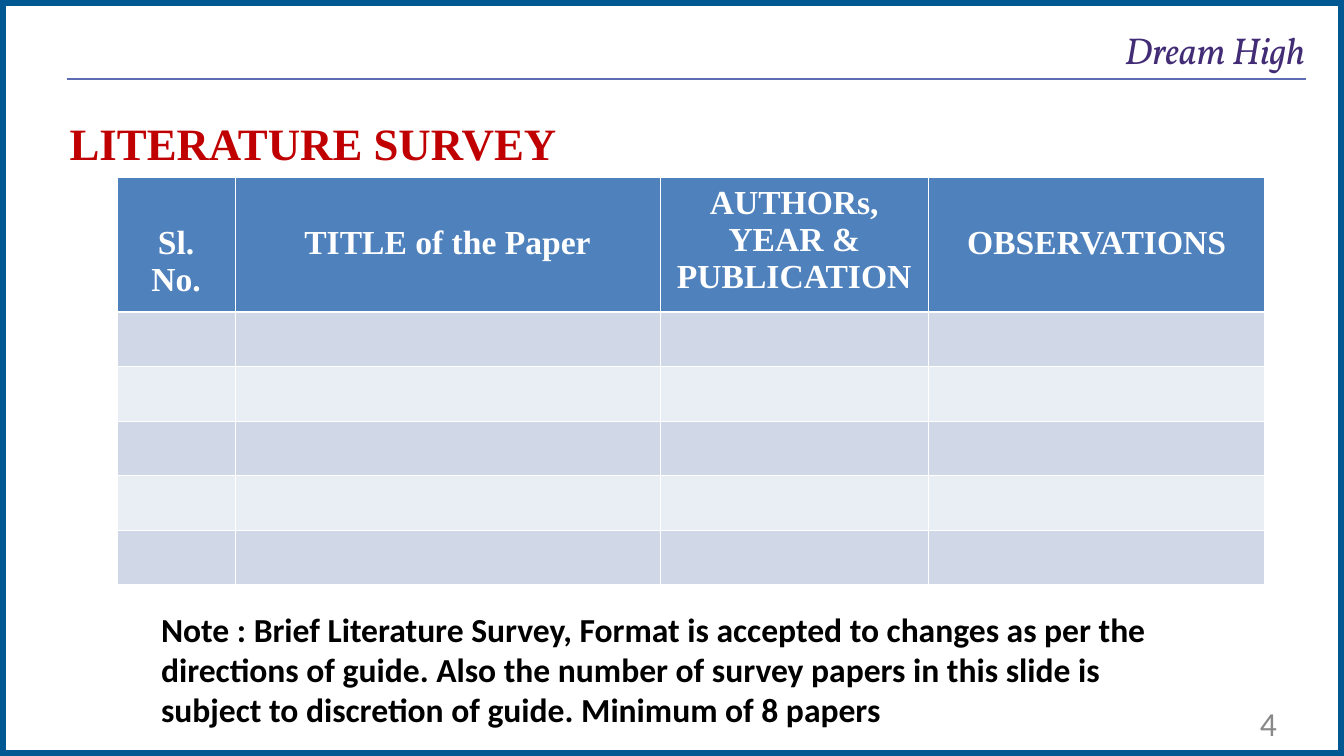
import pptx
import pptx.util
import pptx.dml.color
import pptx.enum.shapes
import pptx.enum.text
import pptx.oxml
import pptx.oxml.ns
import lxml.etree

Inches = pptx.util.Inches
Pt = pptx.util.Pt
ALIGN = pptx.enum.text.PP_ALIGN
ANCHOR = pptx.enum.text.MSO_ANCHOR
SLIDE_WIDTH = 10
SLIDE_HEIGHT = SLIDE_WIDTH * 9 / 16
COLUMN_WIDTHS = [0.88, 3.16, 2, 2.5]
HEADINGS = ["Sl. No.", "TITLE of the Paper", "AUTHORs,\nYEAR & PUBLICATION", "OBSERVATIONS"]
HEADER_HEIGHT = 0.99
PAPER_ROWS = 5
BAND_FILLS = ["D0D8E8", "E9EDF4"]
NOTE = ("Note : Brief Literature Survey, Format is accepted to changes as per the "
        "directions of guide. Also the number of survey papers in this slide is "
        "subject to discretion of guide. Minimum of 8 papers")


def colour(hex_value):
    """Turn a hex string into an RGB colour."""
    return pptx.dml.color.RGBColor.from_string(hex_value)


def write(frame, text, size, font, hex_value, bold=False, italic=False, align=ALIGN.LEFT):
    """Fill a text frame and format all of its runs."""
    frame.word_wrap = True
    frame.text = text
    for paragraph in frame.paragraphs:
        paragraph.alignment = align
        for run in paragraph.runs:
            run.font.size = Pt(size)
            run.font.name = font
            run.font.bold = bold
            run.font.italic = italic
            run.font.color.rgb = colour(hex_value)


def set_margins(frame, horizontal, vertical):
    """Set the inner margins of a text frame."""
    frame.margin_left = frame.margin_right = Inches(horizontal)
    frame.margin_top = frame.margin_bottom = Inches(vertical)


def add_text(slide, box, text, size, font, hex_value, margins=(0.1, 0.05), **style):
    """Add a text box with one style."""
    frame = slide.shapes.add_textbox(*map(Inches, box)).text_frame
    set_margins(frame, *margins)
    write(frame, text, size, font, hex_value, **style)


def add_page_frame(slide, box):
    """Draw the bordered page background."""
    page = slide.shapes.add_shape(pptx.enum.shapes.MSO_SHAPE.RECTANGLE, *map(Inches, box))
    page.shadow.inherit = False
    page.fill.solid()
    page.fill.fore_color.rgb = colour("FFFFFF")
    page.line.color.rgb = colour("005893")
    page.line.width = Pt(6)


def add_page_header(slide, box):
    """Place the motto at the right of the header and the rule along its bottom."""
    left, top, width, height = box
    right, bottom = left + width, top + height
    rule = slide.shapes.add_connector(pptx.enum.shapes.MSO_CONNECTOR.STRAIGHT,
                                      Inches(left), Inches(bottom), Inches(right), Inches(bottom))
    rule.line.color.rgb = colour("5E6DB3")
    rule.line.width = Pt(1.25)
    lxml.etree.SubElement(rule._element.spPr, pptx.oxml.ns.qn("a:effectLst"))

    motto = slide.shapes.title
    motto_width = 2.21
    motto.left, motto.top = Inches(right - motto_width - 0.01), Inches(top)
    motto.width, motto.height = Inches(motto_width), Inches(height - 0.05)
    frame = motto.text_frame
    set_margins(frame, 0, 0)
    frame.vertical_anchor = ANCHOR.TOP
    write(frame, "Dream High", 20, "Vollkorn", "422C75", italic=True, align=ALIGN.RIGHT)


def set_borders(cell, top, bottom):
    """Give a cell white borders, with top and bottom widths in points."""
    properties = cell._tc.get_or_add_tcPr()
    for index, (side, width) in enumerate([("L", 0.45), ("R", 0.45), ("T", top), ("B", bottom)]):
        properties.insert(index, pptx.oxml.parse_xml(
            f'<a:ln{side} {pptx.oxml.ns.nsdecls("a")} w="{Pt(width)}">'
            f'<a:solidFill><a:srgbClr val="FFFFFF"/></a:solidFill></a:ln{side}>'))


def add_survey_table(slide, box):
    """Draw the survey table with its heading row and empty banded rows."""
    table = slide.shapes.add_table(PAPER_ROWS + 1, len(HEADINGS), *map(Inches, box)).table
    for column, width in zip(table.columns, COLUMN_WIDTHS):
        column.width = Inches(width)
    for number, row in enumerate(table.rows):
        is_header = number == 0
        row.height = Inches(HEADER_HEIGHT if is_header else (box[3] - HEADER_HEIGHT) / PAPER_ROWS)
        for cell, heading in zip(row.cells, HEADINGS):
            cell.fill.solid()
            cell.fill.fore_color.rgb = colour("4F81BD" if is_header else BAND_FILLS[(number - 1) % 2])
            set_borders(cell, 1.47 if number == 1 else 0.45, 1.47 if is_header else 0.45)
            if is_header:
                cell.margin_top = Inches(0.05 if "\n" in heading else 0.35)
                write(cell.text_frame, heading, 18, "Times New Roman", "FFFFFF",
                      bold=True, align=ALIGN.CENTER)


def main():
    """Build and save the slide."""
    presentation = pptx.Presentation()
    presentation.slide_width = Inches(SLIDE_WIDTH)
    presentation.slide_height = Inches(SLIDE_HEIGHT)
    slide = presentation.slides.add_slide(presentation.slide_layouts[5])
    add_page_frame(slide, (0, 0, SLIDE_WIDTH, SLIDE_HEIGHT))
    title = slide.shapes.title._element
    title.getparent().append(title)
    add_page_header(slide, (0.5, 0.2, 9.22, 0.39))
    add_text(slide, (7.2, 5.23, 2.3, 0.31), "4", 18, "Calibri", "898989",
             margins=(0, 0), align=ALIGN.RIGHT)
    add_text(slide, (0.42, 0.81, 4, 0.5), "LITERATURE SURVEY", 24, "Times New Roman",
             "C00000", bold=True)
    add_survey_table(slide, (0.87, 1.32, sum(COLUMN_WIDTHS), 3.02))
    add_text(slide, (1.1, 4.48, 7.98, 1), NOTE, 18, "Calibri", "000000", bold=True)
    presentation.save("out.pptx")


if __name__ == "__main__":
    main()
